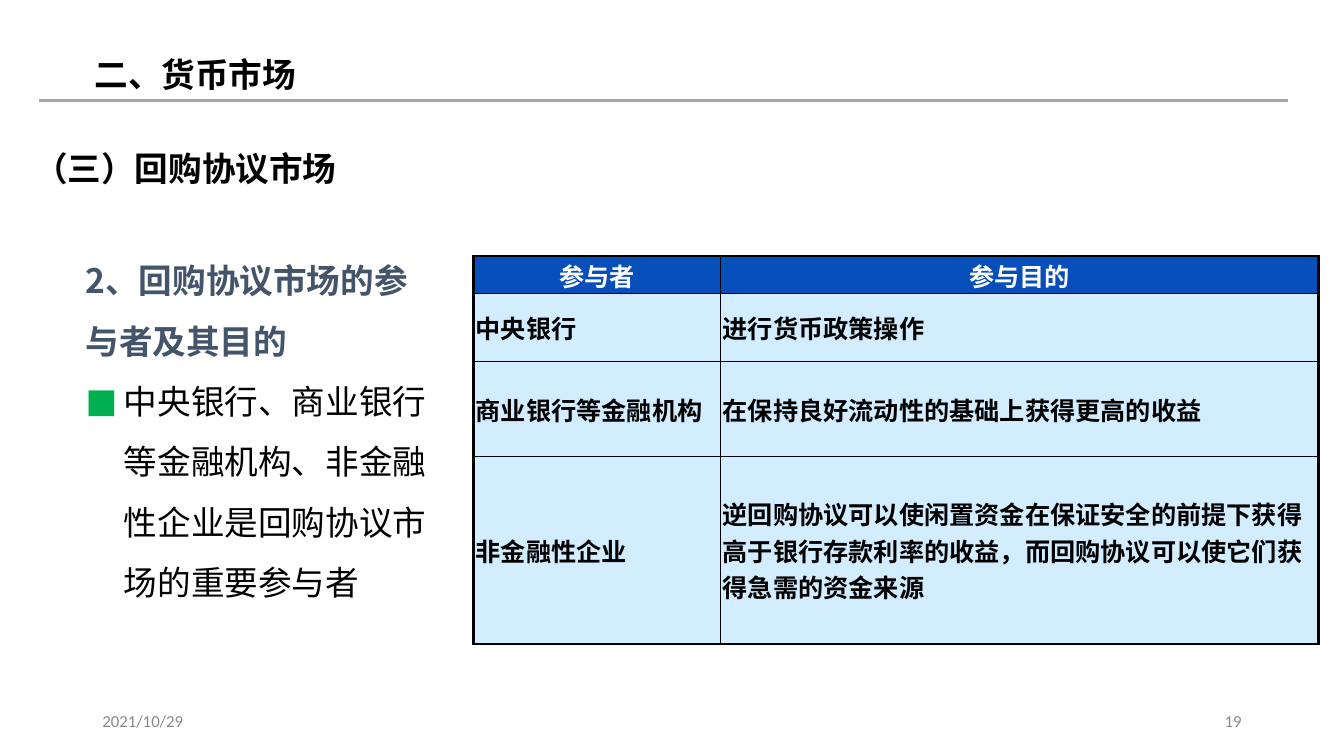
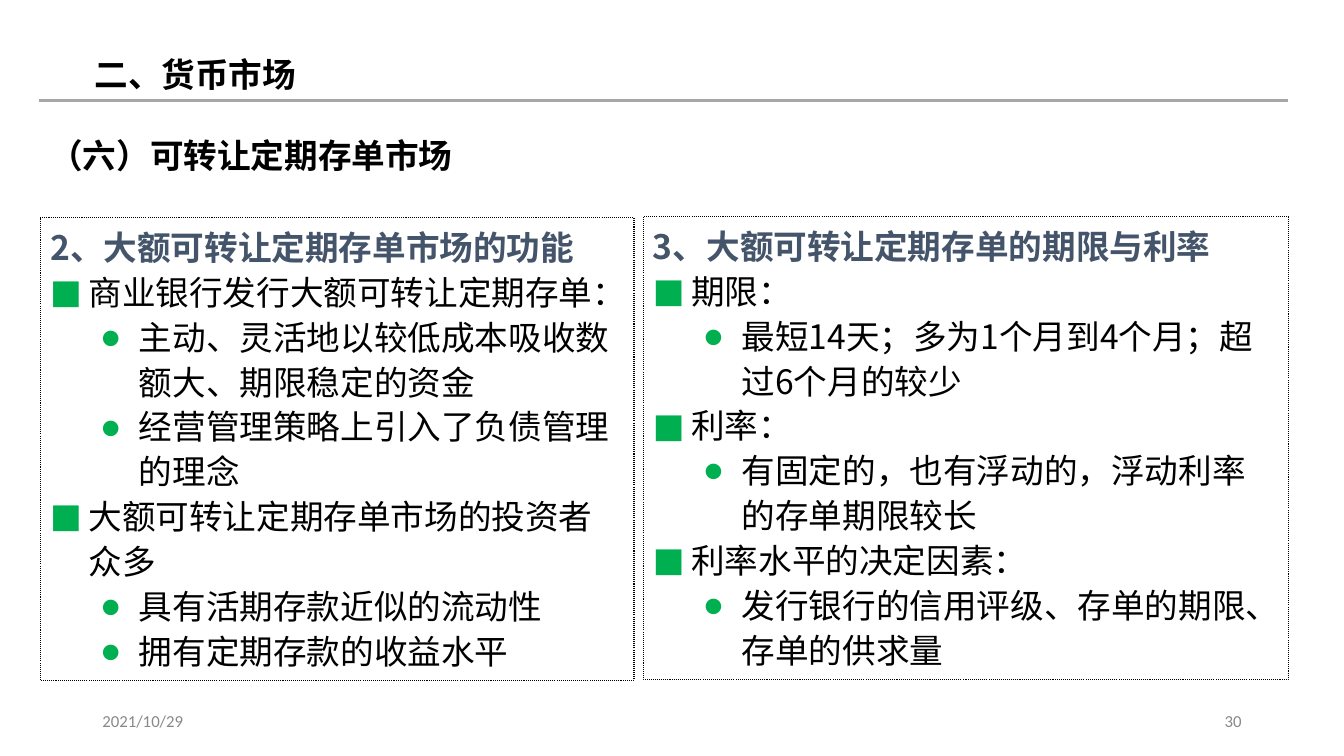
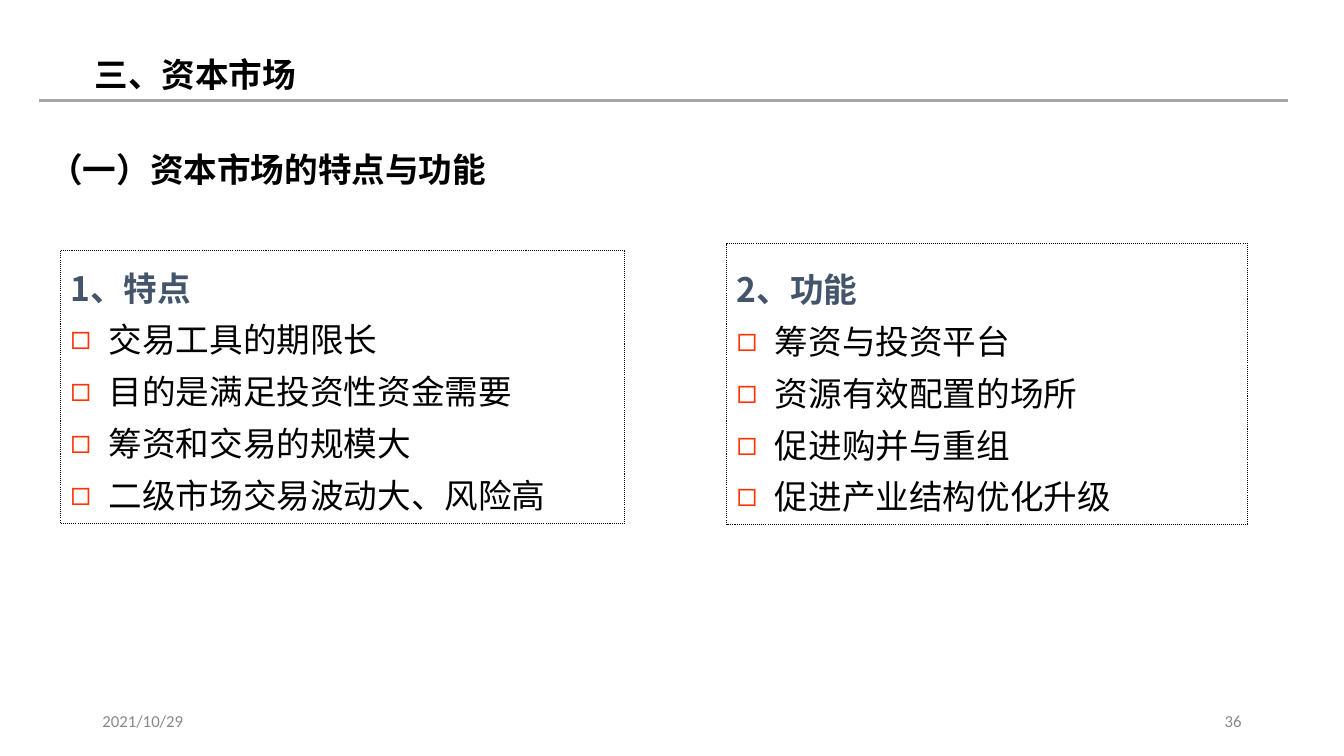
from dataclasses import dataclass
from itertools import accumulate

from lxml.etree import SubElement as Sub
from pptx import Presentation
from pptx.dml.color import RGBColor as RGB
from pptx.enum.dml import MSO_LINE as Dash
from pptx.enum.shapes import MSO_CONNECTOR as Link, MSO_SHAPE as Form
from pptx.enum.text import MSO_ANCHOR as Anchor, MSO_AUTO_SIZE as Fit, PP_ALIGN as Align
from pptx.oxml import parse_xml
from pptx.oxml.ns import nsdecls, qn
from pptx.util import Emu, Inches, Pt

COLS, ROWS = 80, 45
UNIT = Inches(1) / 6


@dataclass(frozen=True)
class Theme:
    cjk: str = "Noto Sans CJK SC"
    latin: str = "Calibri"
    black: str = "000000"
    white: str = "FFFFFF"
    slate: str = "44546A"
    gray: str = "898989"
    rule: str = "A6A6A6"
    blue: str = "064FBA"
    pale: str = "D1EDFF"
    green: str = "00B050"
    red: str = "FF3300"
    body: int = 24
    cell: int = 18
    small: int = 12


@dataclass(frozen=True)
class Mark:
    """A bullet: its sign, colour, level and left margin in inches."""
    sign: str
    color: str
    level: int = 0
    left: float = 0.38


T = Theme()
SQUARE = Mark("■", T.green)
DOT = Mark("●", T.green, 1, 0.88)
HOLLOW = Mark("◻", T.red)
HANG = 0.38


def grid(*cells):
    return [Emu(round(n * UNIT)) for n in cells]


def apply(item, **values):
    for key, value in values.items():
        setattr(item, key, value)


def write(para, text, color=T.black, size=T.body, bold=False, face=T.cjk):
    run = para.add_run()
    run.text = text
    run.font.color.rgb = RGB.from_string(color)
    apply(run.font, size=Pt(size), bold=bold, name=face)
    Sub(run.font._element, qn("a:ea"), typeface=face)


def bullet(para, mark):
    para.level = mark.level
    props = para._p.get_or_add_pPr()
    props.set("marL", str(Inches(mark.left)))
    props.set("indent", str(-Inches(HANG)))
    tint = Sub(props, qn("a:buClr"))
    Sub(tint, qn("a:srgbClr"), val=mark.color)
    Sub(props, qn("a:buFont"), typeface=T.latin)
    Sub(props, qn("a:buChar"), char=mark.sign)


def label(slide, box, text, spacing=None, align=None, frame=None, **style):
    """Place one line of text; frame holds the text frame's settings."""
    area = slide.shapes.add_textbox(*grid(*box)).text_frame
    apply(area, **{"word_wrap": True, **(frame or {})})
    para = area.paragraphs[0]
    apply(para, line_spacing=spacing, alignment=align)
    write(para, text, **style)


def fill_list(area, head, items, spacing, lead=None):
    """Write a slate heading and its bulleted items."""
    apply(area, word_wrap=True, auto_size=Fit.SHAPE_TO_FIT_TEXT,
          vertical_anchor=Anchor.TOP)
    first = area.paragraphs[0]
    apply(first, line_spacing=lead or spacing, alignment=Align.LEFT)
    write(first, head, color=T.slate, bold=True)
    for mark, text in items:
        para = area.add_paragraph()
        bullet(para, mark)
        apply(para, line_spacing=spacing, alignment=Align.LEFT)
        write(para, text)


def panel(slide, box, head, items, spacing, lead=None):
    """Draw a dotted frame around a list."""
    shape = slide.shapes.add_shape(Form.RECTANGLE, *grid(*box))
    shape.shadow.inherit = False
    shape.fill.background()
    shape.line.color.rgb = RGB.from_string(T.black)
    apply(shape.line, width=Pt(0.75), dash_style=Dash.ROUND_DOT)
    fill_list(shape.text_frame, head, items, spacing, lead)


def edge(cell, widths):
    """Set the left, right, top and bottom borders, in points."""
    props = cell._tc.get_or_add_tcPr()
    for spot, (side, width) in enumerate(zip("LRTB", widths)):
        props.insert(spot, parse_xml(
            f'<a:ln{side} {nsdecls("a")} w="{Pt(width)}"><a:solidFill>'
            f'<a:srgbClr val="{T.black}"/></a:solidFill></a:ln{side}>'))


def split(total, parts):
    ends = [round(total * n / sum(parts)) for n in accumulate(parts)]
    return [end - start for start, end in zip([0] + ends, ends)]


def matrix(slide, box, rows, wide, high):
    """Build a table whose columns and rows share the box by weight."""
    x, y, w, h = grid(*box)
    table = slide.shapes.add_table(len(rows), len(wide), x, y, w, h).table
    for col, size in zip(table.columns, split(w, wide)):
        col.width = Emu(size)
    for row, size in zip(table.rows, split(h, high)):
        row.height = Emu(size)
    last, end = len(rows) - 1, len(wide) - 1
    for r, texts in enumerate(rows):
        top = r == 0
        for c, text in enumerate(texts):
            cell = table.cell(r, c)
            apply(cell, margin_left=Inches(0.02), margin_right=Inches(0.02),
                  margin_top=Inches(0.01), margin_bottom=Inches(0.01),
                  vertical_anchor=Anchor.TOP if top else Anchor.MIDDLE)
            cell.fill.solid()
            cell.fill.fore_color.rgb = RGB.from_string(T.blue if top else T.pale)
            edge(cell, (1 if c else 2.25, 2.25 if c == end else 1,
                        1, 2.25 if r == last else 1))
            para = cell.text_frame.paragraphs[0]
            para.alignment = Align.CENTER if top else Align.LEFT
            write(para, text, color=T.white if top else T.black,
                  size=T.cell, bold=True)


def base(deck, title, topic, spot, number):
    """Start a slide with its title, rule, topic line and footer."""
    slide = deck.slides.add_slide(deck.slide_layouts[6])
    rule = slide.shapes.add_connector(Link.STRAIGHT, *grid(2.34, 6, 76.68, 6))
    rule.line.color.rgb = RGB.from_string(T.rule)
    rule.line.width = Pt(2.25)
    Sub(rule._element.spPr, qn("a:effectLst"))
    grow = {"auto_size": Fit.SHAPE_TO_FIT_TEXT}
    label(slide, (5.04, 2.94, 40, 3.06), title, frame=grow, bold=True)
    label(slide, (*spot, 3.54), topic, spacing=1.2, bold=True,
          frame={**grow, "word_wrap": False})
    for left, text, align in ((5.5, "2021/10/29", Align.LEFT),
                              (56.5, str(number), Align.RIGHT)):
        label(slide, (left, 41.7, 18, 2.4), text, align=align,
              frame={"vertical_anchor": Anchor.MIDDLE},
              color=T.gray, size=T.small, face=T.latin)
    return slide


def repo(deck):
    slide = base(deck, "二、货币市场", "（三）回购协议市场", (1.44, 8.04, 19.38), 19)
    matrix(slide, (28.2, 15.24, 50.28, 23.1), [
        ("参与者", "参与目的"),
        ("中央银行", "进行货币政策操作"),
        ("商业银行等金融机构", "在保持良好流动性的基础上获得更高的收益"),
        ("非金融性企业", "逆回购协议可以使闲置资金在保证安全的前提下获得高于银行存款利率的收益，"
                   "而回购协议可以使它们获得急需的资金来源"),
    ], (245, 593), (37, 68, 94, 186))
    note = slide.shapes.add_textbox(*grid(4.5, 13.98, 21.48, 22.44))
    fill_list(note.text_frame, "2、回购协议市场的参与者及其目的", [
        (SQUARE, "中央银行、商业银行等金融机构、非金融性企业是回购协议市场的重要参与者"),
    ], 1.5)


def deposit(deck):
    slide = base(deck, "二、货币市场", "（六）可转让定期存单市场", (2.34, 7.26, 25.44), 30)
    panel(slide, (2.4, 12.96, 35.34, 27.54), "2、大额可转让定期存单市场的功能", [
        (SQUARE, "商业银行发行大额可转让定期存单："),
        (DOT, "主动、灵活地以较低成本吸收数额大、期限稳定的资金"),
        (DOT, "经营管理策略上引入了负债管理的理念"),
        (SQUARE, "大额可转让定期存单市场的投资者众多"),
        (DOT, "具有活期存款近似的流动性"),
        (DOT, "拥有定期存款的收益水平"),
    ], Pt(32))
    panel(slide, (38.28, 12.9, 38.4, 27.54), "3、大额可转让定期存单的期限与利率", [
        (SQUARE, "期限："),
        (DOT, "最短14天；多为1个月到4个月；超过6个月的较少"),
        (SQUARE, "利率："),
        (DOT, "有固定的，也有浮动的，浮动利率的存单期限较长"),
        (SQUARE, "利率水平的决定因素："),
        (DOT, "发行银行的信用评级、存单的期限、存单的供求量"),
    ], Pt(32))


def capital(deck):
    slide = base(deck, "三、资本市场", "（一）资本市场的特点与功能", (2.34, 8.1, 27.48), 36)
    for box, head, texts, lead in (
        ((3.6, 14.94, 33.6, 16.2), "1、特点",
         ("交易工具的期限长", "目的是满足投资性资金需要",
          "筹资和交易的规模大", "二级市场交易波动大、风险高"), None),
        ((43.26, 14.52, 31.02, 16.68), "2、功能",
         ("筹资与投资平台", "资源有效配置的场所",
          "促进购并与重组", "促进产业结构优化升级"), 1.5),
    ):
        panel(slide, box, head, [(HOLLOW, text) for text in texts], Pt(37), lead)


def main():
    deck = Presentation()
    deck.slide_width, deck.slide_height = grid(COLS, ROWS)
    for build in (repo, deposit, capital):
        build(deck)
    deck.save("out.pptx")


if __name__ == "__main__":
    main()
